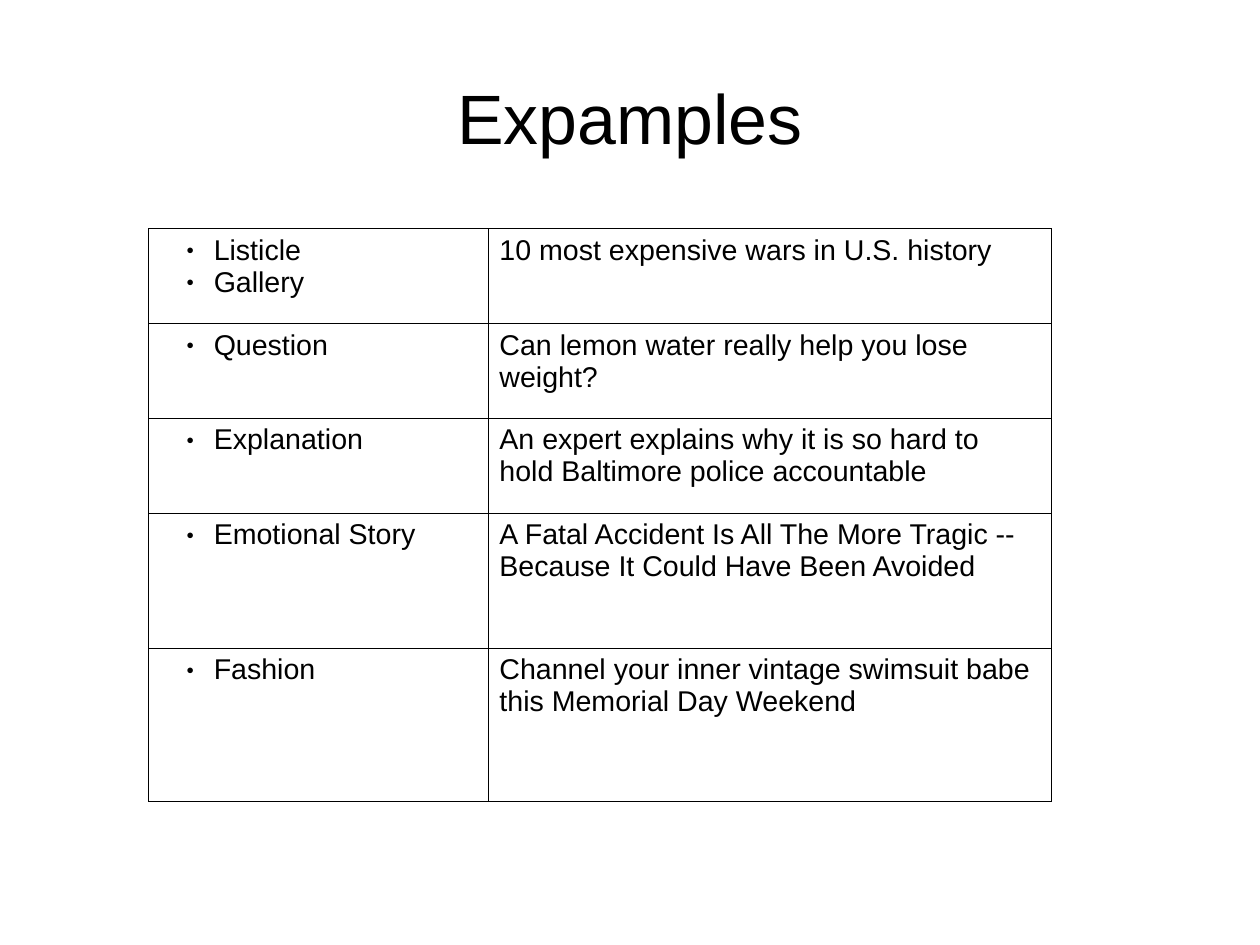
"""Builds a slide with a table of headline types and an example of each."""
from lxml.etree import SubElement
from pptx import Presentation
from pptx.dml.color import RGBColor
from pptx.enum.text import MSO_ANCHOR as Anchor, PP_ALIGN as Align
from pptx.oxml.ns import qn
from pptx.util import Cm, Inches, Pt

TITLE = "Expamples"
ROWS = [
    (["Listicle", "Gallery"], "10 most expensive wars in U.S. history"),
    (["Question"], "Can lemon water really help you lose weight?"),
    (["Explanation"], "An expert explains why it is so hard to hold Baltimore police accountable"),
    (["Emotional Story"], "A Fatal Accident Is All The More Tragic -- Because It Could Have Been Avoided"),
    (["Fashion"], "Channel your inner vintage swimsuit babe this Memorial Day Weekend"),
]
COL_WIDTHS = [2.97, 4.93]
ROW_HEIGHTS = [0.83, 0.83, 0.83, 1.18, 1.34]
SLIDE_W, SLIDE_H = Cm(28), Cm(21)
TABLE_LEFT, TABLE_TOP = 1.3, 2
BLACK = RGBColor(0, 0, 0)
FONT = "Arial"


def add_bullet(p):
    p.level = 1
    pPr = p._p.get_or_add_pPr()
    pPr.set("marL", str(Inches(0.47)))
    pPr.set("indent", str(Inches(-0.24)))
    SubElement(SubElement(pPr, qn("a:buClr")), qn("a:srgbClr"), val=str(BLACK))
    SubElement(pPr, qn("a:buSzPct"), val="45000")
    SubElement(pPr, qn("a:buFont"), typeface=FONT)
    SubElement(pPr, qn("a:buChar"), char="●")


def write(tf, lines, size=18, align=Align.LEFT, bullet=False):
    for i, line in enumerate(lines):
        p = tf.paragraphs[0] if i == 0 else tf.add_paragraph()
        p.alignment = align
        if bullet:
            add_bullet(p)
        r = p.add_run()
        r.text = line
        r.font.size, r.font.name, r.font.color.rgb = Pt(size), FONT, BLACK


def style_cell(cell):
    tcPr = cell._tc.get_or_add_tcPr()
    for side in "LRTB":
        ln = SubElement(tcPr, qn(f"a:ln{side}"), w=str(Pt(0.57)))
        fill = SubElement(ln, qn("a:solidFill"))
        SubElement(fill, qn("a:srgbClr"), val=str(BLACK))
    cell.fill.background()
    cell.margin_left = cell.margin_right = Inches(0.1)
    cell.margin_top = cell.margin_bottom = Inches(0.05)


def add_title(s):
    sp = s.shapes.title
    sp.left, sp.top = int(0.05 * SLIDE_W), int(0.04 * SLIDE_H)
    sp.width, sp.height = int(0.9 * SLIDE_W), Inches(1.38)
    tf = sp.text_frame
    tf.margin_left = tf.margin_right = tf.margin_top = tf.margin_bottom = 0
    tf.vertical_anchor = Anchor.MIDDLE
    write(tf, [TITLE], size=44, align=Align.CENTER)


def add_examples(s):
    box = [TABLE_LEFT, TABLE_TOP, sum(COL_WIDTHS), sum(ROW_HEIGHTS)]
    table = s.shapes.add_table(len(ROWS), len(COL_WIDTHS), *map(Inches, box)).table
    table.first_row = table.horz_banding = False
    for col, width in zip(table.columns, COL_WIDTHS):
        col.width = Inches(width)
    for row, height, (kinds, example) in zip(table.rows, ROW_HEIGHTS, ROWS):
        row.height = Inches(height)
        for cell in row.cells:
            style_cell(cell)
        write(row.cells[0].text_frame, kinds, bullet=True)
        write(row.cells[1].text_frame, [example])


def main():
    prs = Presentation()
    prs.slide_width, prs.slide_height = SLIDE_W, SLIDE_H
    prs.element.sldSz.attrib.pop("type", None)
    s = prs.slides.add_slide(prs.slide_layouts[5])
    add_title(s)
    add_examples(s)
    prs.save("out.pptx")


if __name__ == "__main__":
    main()
